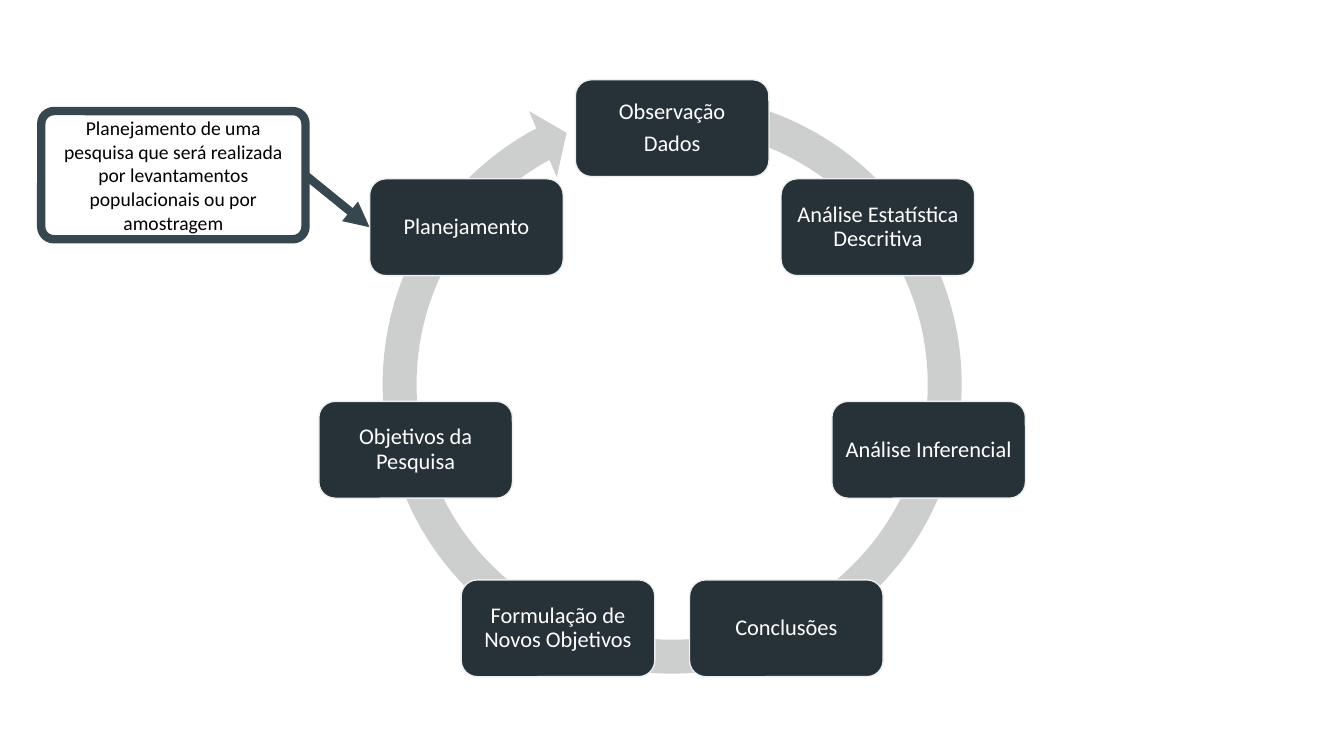
import math
from dataclasses import dataclass

import pptx
import pptx.dml.color
import pptx.enum.dml
import pptx.enum.shapes
import pptx.enum.text
import pptx.oxml
import pptx.oxml.ns
import pptx.util
from pptx.dml.color import RGBColor
from pptx.util import Cm, Pt

DARK = RGBColor(0x26, 0x32, 0x38)
SLATE = RGBColor(0x37, 0x47, 0x4F)
PALE = RGBColor(0xEC, 0xEF, 0xF1)
GREY = RGBColor(0xCD, 0xCE, 0xCE)
WHITE = RGBColor(0xFF, 0xFF, 0xFF)
BLACK = RGBColor(0x00, 0x00, 0x00)

FONT = "Calibri"
CENTRE_X, CENTRE_Y, RADIUS = 16.94, 9.86, 6.63
STEP_WIDTH, STEP_HEIGHT = 4.88, 2.44
RING_LEFT, RING_TOP, RING_SIZE = 9.17, 1.91, 15.54
RING_ADJUSTMENTS = (0.055, 3.307, 145.018, 169.582, 0.058)

# Clockwise from the top of the cycle
STEPS = (
    "Observação\nDados",
    "Análise Estatística Descritiva",
    "Análise Inferencial",
    "Conclusões",
    "Formulação de Novos Objetivos",
    "Objetivos da Pesquisa",
    "Planejamento",
)
CALLOUT_TEXT = (
    "Planejamento de uma pesquisa que será realizada "
    "por levantamentos populacionais ou por amostragem"
)


@dataclass(frozen=True)
class Box:
    """A rounded box; lengths in centimetres, line width and text size in points."""

    text: str
    left: float
    top: float
    width: float
    height: float
    fill: RGBColor
    line: RGBColor
    line_width: float
    text_colour: RGBColor
    text_size: float
    rounding: float
    margin: float
    line_spacing: float


def cycle_step(index: int) -> Box:
    angle = 2 * math.pi * index / len(STEPS)
    return Box(
        text=STEPS[index],
        left=CENTRE_X + RADIUS * math.sin(angle) - STEP_WIDTH / 2,
        top=CENTRE_Y - RADIUS * math.cos(angle) - STEP_HEIGHT / 2,
        width=STEP_WIDTH,
        height=STEP_HEIGHT,
        fill=DARK,
        line=PALE,
        line_width=1,
        text_colour=WHITE,
        text_size=16,
        rounding=0.167,
        margin=0.1,
        line_spacing=0.9,
    )


def draw_box(slide: pptx.slide.Slide, box: Box) -> None:
    shape = slide.shapes.add_shape(
        pptx.enum.shapes.MSO_SHAPE.ROUNDED_RECTANGLE,
        Cm(box.left), Cm(box.top), Cm(box.width), Cm(box.height),
    )
    shape.shadow.inherit = False
    shape.adjustments[0] = box.rounding
    shape.fill.solid()
    shape.fill.fore_color.rgb = box.fill
    shape.line.color.rgb = box.line
    shape.line.width = Pt(box.line_width)

    frame = shape.text_frame
    frame.text = box.text
    frame.word_wrap = True
    frame.vertical_anchor = pptx.enum.text.MSO_ANCHOR.MIDDLE
    frame.margin_left = frame.margin_right = Cm(box.margin)
    frame.margin_top = frame.margin_bottom = Cm(0.13)
    for paragraph in frame.paragraphs:
        paragraph.alignment = pptx.enum.text.PP_ALIGN.CENTER
        paragraph.line_spacing = box.line_spacing
        for run in paragraph.runs:
            run.font.name = FONT
            run.font.size = Pt(box.text_size)
            run.font.color.rgb = box.text_colour
    for paragraph in frame.paragraphs[:-1]:
        paragraph.space_after = Pt(5.6)


def draw_ring(slide: pptx.slide.Slide) -> None:
    ring = slide.shapes.add_shape(
        pptx.enum.shapes.MSO_SHAPE.CIRCULAR_ARROW,
        Cm(RING_LEFT), Cm(RING_TOP), Cm(RING_SIZE), Cm(RING_SIZE),
    )
    ring.shadow.inherit = False
    for index, value in enumerate(RING_ADJUSTMENTS):
        ring.adjustments[index] = value
    ring.fill.solid()
    ring.fill.fore_color.rgb = GREY
    ring.line.fill.background()


def draw_arrow(slide: pptx.slide.Slide, source: Box, target: Box) -> None:
    """Join the right side of source to the left side of target."""
    arrow = slide.shapes.add_connector(
        pptx.enum.shapes.MSO_CONNECTOR.STRAIGHT,
        Cm(source.left + source.width), Cm(source.top + source.height / 2),
        Cm(target.left), Cm(target.top + target.height / 2),
    )
    arrow.line.color.rgb = SLATE
    arrow.line.width = Pt(6)
    head = pptx.oxml.parse_xml(
        f'<a:tailEnd {pptx.oxml.ns.nsdecls("a")} type="triangle"/>'
    )
    arrow.line._get_or_add_ln().append(head)
    no_effects = pptx.oxml.parse_xml(
        f'<a:effectLst {pptx.oxml.ns.nsdecls("a")}/>'
    )
    arrow._element.spPr.append(no_effects)


def main() -> None:
    presentation = pptx.Presentation()
    presentation.slide_width = Cm(33.87)
    presentation.slide_height = Cm(19.05)
    slide = presentation.slides.add_slide(presentation.slide_layouts[6])

    steps = [cycle_step(index) for index in range(len(STEPS))]
    callout = Box(
        text=CALLOUT_TEXT,
        left=1.04,
        top=2.8,
        width=6.66,
        height=3.23,
        fill=WHITE,
        line=SLATE,
        line_width=6,
        text_colour=BLACK,
        text_size=14,
        rounding=0.099,
        margin=0.25,
        line_spacing=1.0,
    )

    draw_arrow(slide, callout, steps[-1])
    draw_ring(slide)
    for box in (*steps, callout):
        draw_box(slide, box)

    presentation.save("out.pptx")


if __name__ == "__main__":
    main()
